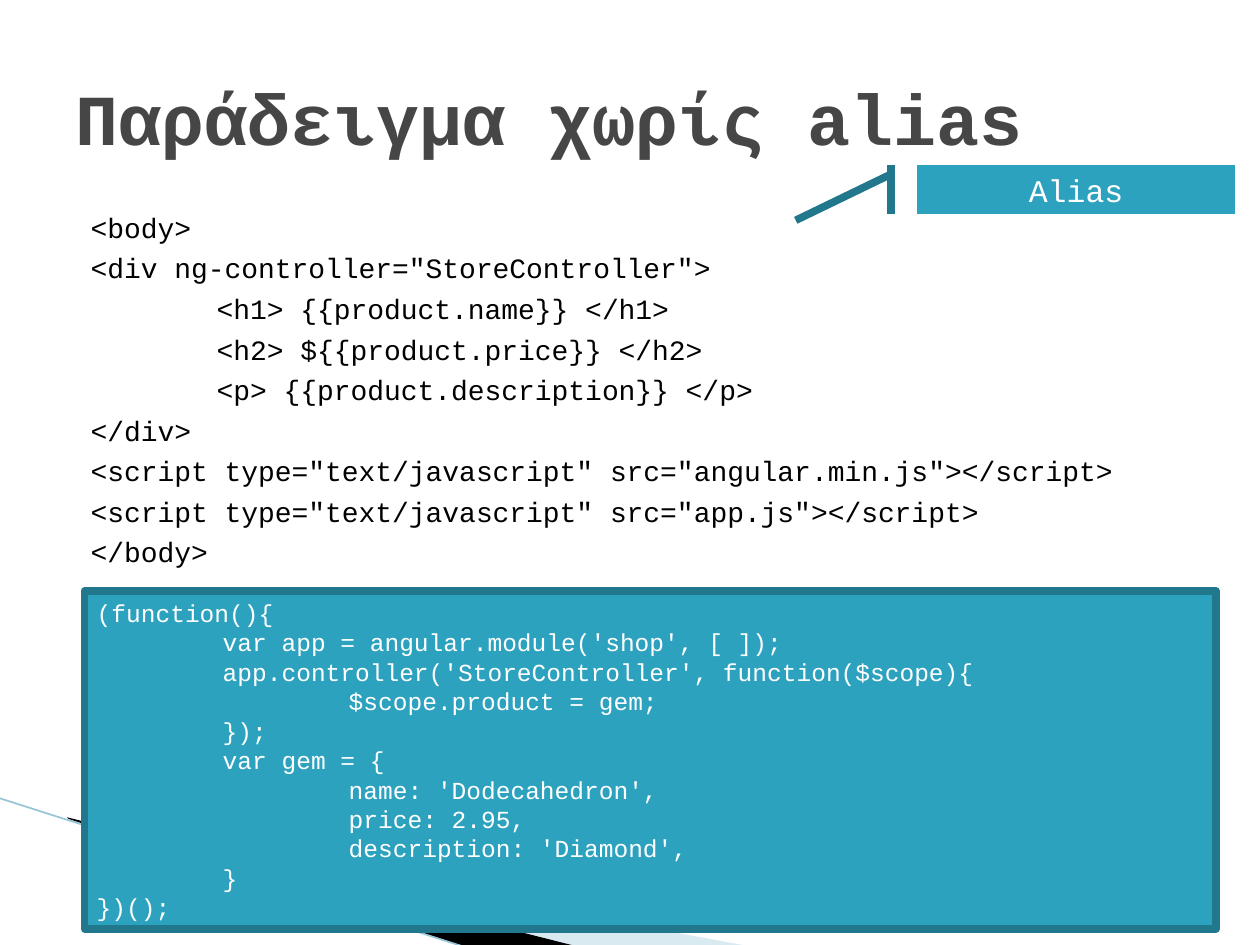
from lxml import etree
from pptx import Presentation
from pptx.dml.color import RGBColor
from pptx.enum.shapes import MSO_CONNECTOR, MSO_SHAPE
from pptx.enum.text import MSO_ANCHOR, MSO_AUTO_SIZE, PP_ALIGN
from pptx.oxml.ns import qn
from pptx.util import Pt

FONT = "Courier New"
WHITE = RGBColor(0xFF, 0xFF, 0xFF)
BLACK = RGBColor(0, 0, 0)
TITLE_GREY = RGBColor(0x46, 0x46, 0x46)
TEAL = RGBColor(0x2D, 0xA2, 0xBF)
DARK_TEAL = RGBColor(0x21, 0x78, 0x8D)
PALE_BLUE = RGBColor(0xA0, 0xCB, 0xDC)
SWOOSH_LINE = RGBColor(0x97, 0xC5, 0xD8)

MARKUP = """<body>
<div ng-controller="StoreController">
\t<h1> {{product.name}} </h1>
\t<h2> ${{product.price}} </h2>
\t<p> {{product.description}} </p>
</div>
<script type="text/javascript" src="angular.min.js"></script>
<script type="text/javascript" src="app.js"></script>
</body>"""

SCRIPT = """(function(){
\tvar app = angular.module('shop', [ ]);
\tapp.controller('StoreController', function($scope){
\t\t$scope.product = gem;
\t});
\tvar gem = {
\t\tname: 'Dodecahedron',
\t\tprice: 2.95,
\t\tdescription: 'Diamond',
\t}
})();"""


def place(shape, box):
    shape.left, shape.top, shape.width, shape.height = map(Pt, box)


def write(shape, text, size, color, align=PP_ALIGN.LEFT, anchor=MSO_ANCHOR.MIDDLE, bold=False):
    """Fill the shape with one paragraph per line, with tab stops every inch."""
    frame = shape.text_frame
    frame.text = text
    frame.word_wrap = True
    frame.auto_size = MSO_AUTO_SIZE.NONE
    frame.vertical_anchor = anchor
    for para in frame.paragraphs:
        para.alignment = align
        para.font.name = FONT
        para.font.size = Pt(size)
        para.font.bold = bold
        para.font.color.rgb = color
        para._p.get_or_add_pPr().set("defTabSz", str(Pt(72)))


def add_title(page, box):
    title = page.shapes.title
    place(title, box)
    write(title, "Παράδειγμα χωρίς alias", 41, TITLE_GREY, bold=True)


def add_markup(page, box):
    body = page.placeholders[1]
    place(body, box)
    write(body, MARKUP, 16, BLACK, anchor=MSO_ANCHOR.TOP)
    for para in body.text_frame.paragraphs:
        para.space_before = Pt(4)
        properties = para._p.get_or_add_pPr()
        properties.set("marL", str(Pt(8.64)))
        properties.set("indent", "0")
        etree.SubElement(properties, qn("a:buNone"))
    page.shapes.title.element.addprevious(body.element)


def add_teal_box(page, preset, box, text, size, align):
    shape = page.shapes.add_shape(preset, *map(Pt, box))
    shape.shadow.inherit = False
    shape.fill.solid()
    shape.fill.fore_color.rgb = TEAL
    shape.line.color.rgb = DARK_TEAL
    shape.line.width = Pt(4.33)
    write(shape, text, size, WHITE, align)


def add_wedge(page, points, color):
    corners = [(Pt(x), Pt(y)) for x, y in points]
    builder = page.shapes.build_freeform(*corners[0])
    builder.add_line_segments(corners[1:])
    wedge = builder.convert_to_shape()
    wedge.shadow.inherit = False
    wedge.fill.solid()
    wedge.fill.fore_color.rgb = color
    wedge.line.fill.background()
    return wedge


def add_swoosh(page, box):
    """Draw the corner decoration behind the text."""
    left, top, width, height = box
    right, bottom = left + width, top + height
    pale = add_wedge(page, [(left + 40, top + 13), (right, bottom),
                            (right - 100, bottom), (left + 40, top + 12)], PALE_BLUE)
    color = pale.fill._xPr.find(".//" + qn("a:srgbClr"))
    etree.SubElement(color, qn("a:alpha"), val="40000")
    black = add_wedge(page, [(left + 39, top + 11), (right - 99, bottom),
                             (right - 160, bottom + 1), (left + 40, top + 12)], BLACK)
    line = page.shapes.add_connector(MSO_CONNECTOR.STRAIGHT, Pt(left), Pt(top),
                                     Pt(right - 161), Pt(bottom + 1))
    line.line.color.rgb = SWOOSH_LINE
    line.line.width = Pt(0.95)
    etree.SubElement(line.element.spPr, qn("a:effectLst"))
    for part in (pale, black, line):
        page.shapes.title.element.addprevious(part.element)


def main():
    deck = Presentation()
    deck.slide_width, deck.slide_height = Pt(720), Pt(540)
    page = deck.slides.add_slide(deck.slide_layouts[1])
    add_swoosh(page, (-0.7, 456, 429, 84.7))
    add_markup(page, (36, 116.6, 648, 356.4))
    add_title(page, (36, 21.6, 648, 90))
    add_teal_box(page, MSO_SHAPE.LINE_CALLOUT_1_ACCENT_BAR, (524.2, 94.3, 181.4, 28.1),
                 "Alias", 18, PP_ALIGN.CENTER)
    add_teal_box(page, MSO_SHAPE.FLOWCHART_PROCESS, (48.2, 337.7, 646.6, 193),
                 SCRIPT, 14, PP_ALIGN.LEFT)
    deck.save("out.pptx")


if __name__ == "__main__":
    main()
